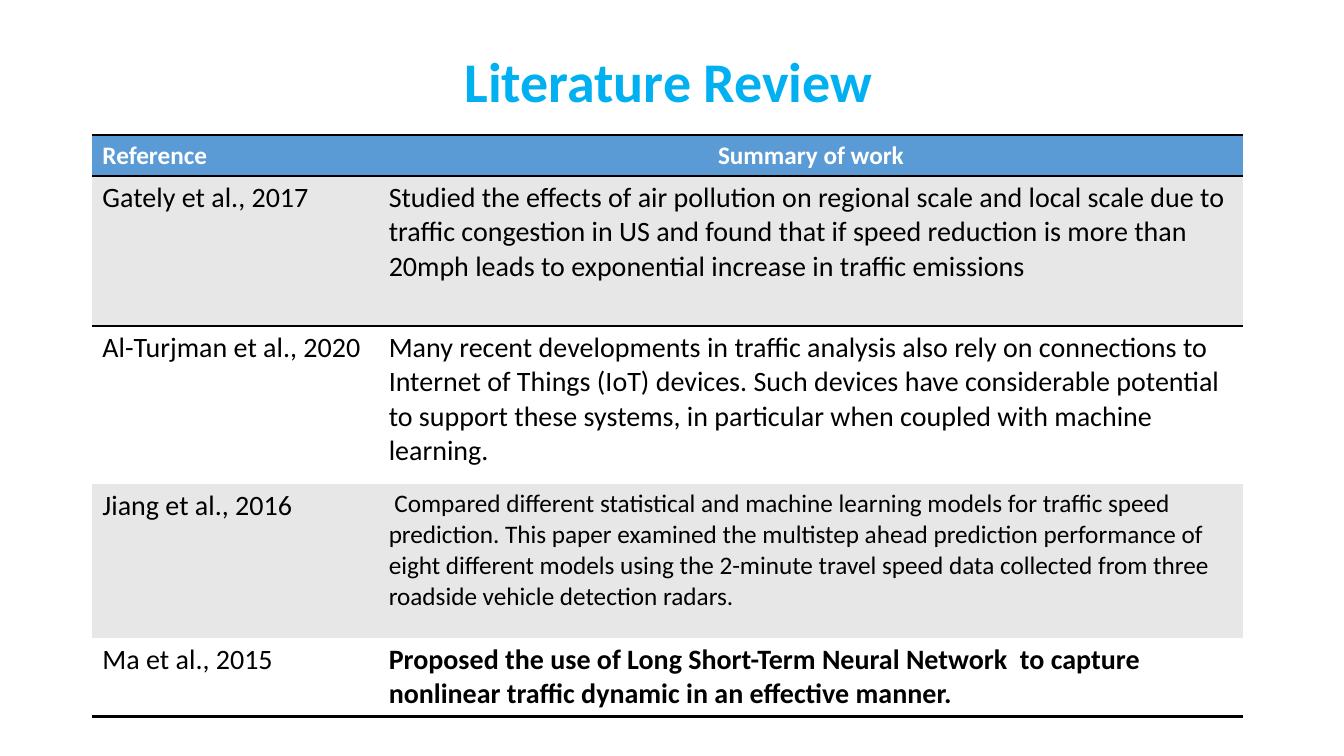
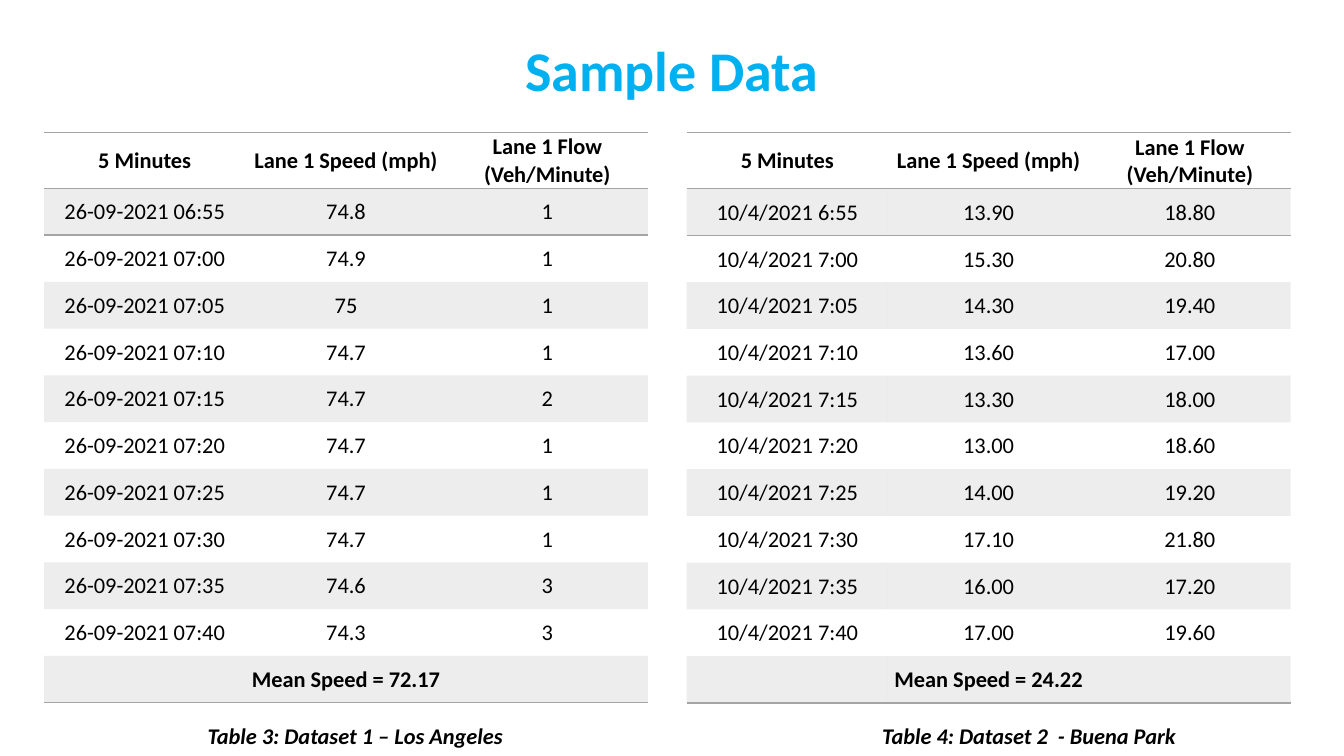
"""Build a literature review slide and a sample traffic data slide."""
from dataclasses import dataclass

from lxml.etree import SubElement
from pptx import Presentation
from pptx.dml.color import RGBColor
from pptx.enum.text import MSO_ANCHOR, PP_ALIGN
from pptx.oxml.ns import qn
from pptx.util import Pt


@dataclass(frozen=True)
class Theme:
    font: str = "Calibri"
    title_color: str = "00B0F0"
    text_color: str = "000000"
    header_text: str = "FFFFFF"
    header_fill: str = "5B9BD5"
    band_fill: str = "E7E7E7"
    plain_fill: str = "FFFFFF"
    data_gray: str = "A5A5A5"
    data_opacity: int = 20
    title_size: int = 40
    large_size: int = 20
    body_size: int = 18
    data_size: int = 16


THEME = Theme()
NO_STYLE_NO_GRID = "{2D5ABB26-0587-4C30-8999-92F81FD0307C}"

REVIEW_HEADER = ("Reference", "Summary of work")
REVIEWS = [
    ("Gately et al., 2017",
     "Studied the effects of air pollution on regional scale and local scale due to traffic "
     "congestion in US and found that if speed reduction is more than 20mph leads to "
     "exponential increase in traffic emissions", THEME.large_size, False),
    ("Al-Turjman et al., 2020",
     "Many recent developments in traffic analysis also rely on connections to Internet of "
     "Things (IoT) devices. Such devices have considerable potential to support these systems, "
     "in particular when coupled with machine learning.", THEME.large_size, False),
    ("Jiang et al., 2016",
     " Compared different statistical and machine learning models for traffic speed "
     "prediction. This paper examined the multistep ahead prediction performance of eight "
     "different models using the 2-minute travel speed data collected from three roadside "
     "vehicle detection radars.", THEME.body_size, False),
    ("Ma et al., 2015",
     "Proposed the use of Long Short-Term Neural Network  to capture nonlinear traffic "
     "dynamic in an effective manner.", THEME.large_size, True),
]
REVIEW_WIDTHS = (204.5, 617.7)
REVIEW_HEIGHTS = (29, 107, 113, 110, 56)

DATA_HEADER = ("5 Minutes", "Lane 1 Speed (mph)", "Lane 1 Flow (Veh/Minute)")
DATASETS = [
    {
        "left": 31.5, "top": 94.5, "caption_left": 122.4,
        "caption": "Table 3: Dataset 1 – Los Angeles",
        "mean": "Mean Speed = 72.17",
        "rows": [
            ("26-09-2021 06:55", "74.8", "1"),
            ("26-09-2021 07:00", "74.9", "1"),
            ("26-09-2021 07:05", "75", "1"),
            ("26-09-2021 07:10", "74.7", "1"),
            ("26-09-2021 07:15", "74.7", "2"),
            ("26-09-2021 07:20", "74.7", "1"),
            ("26-09-2021 07:25", "74.7", "1"),
            ("26-09-2021 07:30", "74.7", "1"),
            ("26-09-2021 07:35", "74.6", "3"),
            ("26-09-2021 07:40", "74.3", "3"),
        ],
    },
    {
        "left": 490.5, "top": 94.8, "caption_left": 605.5,
        "caption": "Table 4: Dataset 2  - Buena Park ",
        "mean": "Mean Speed = 24.22",
        "rows": [
            ("10/4/2021 6:55", "13.90", "18.80"),
            ("10/4/2021 7:00", "15.30", "20.80"),
            ("10/4/2021 7:05", "14.30", "19.40"),
            ("10/4/2021 7:10", "13.60", "17.00"),
            ("10/4/2021 7:15", "13.30", "18.00"),
            ("10/4/2021 7:20", "13.00", "18.60"),
            ("10/4/2021 7:25", "14.00", "19.20"),
            ("10/4/2021 7:30", "17.10", "21.80"),
            ("10/4/2021 7:35", "16.00", "17.20"),
            ("10/4/2021 7:40", "17.00", "19.60"),
        ],
    },
]
DATA_WIDTHS = (143.8,) * 3
DATA_HEADER_HEIGHT = 40
DATA_ROW_HEIGHT = 33.4


def write(text_frame, text, size, color=THEME.text_color, bold=False, italic=False, centered=False):
    paragraph = text_frame.paragraphs[0]
    paragraph.alignment = PP_ALIGN.CENTER if centered else PP_ALIGN.LEFT
    run = paragraph.add_run()
    run.text = text
    font = run.font
    font.name, font.size, font.bold, font.italic = THEME.font, Pt(size), bold, italic
    font.color.rgb = RGBColor.from_string(color)
    return paragraph


def add_text(slide, box, text, size, **style):
    shape = slide.shapes.add_textbox(*map(Pt, box))
    shape.text_frame.word_wrap = True
    return shape.text_frame, write(shape.text_frame, text, size, centered=True, bold=True, **style)


def add_title(slide, text, left, top):
    text_frame, paragraph = add_text(slide, (left, top, 828, 104.4), text,
                                     THEME.title_size, color=THEME.title_color)
    text_frame.vertical_anchor = MSO_ANCHOR.MIDDLE
    paragraph.line_spacing = 0.9


def add_plain_table(slide, left, top, widths, heights):
    frame = slide.shapes.add_table(len(heights), len(widths), Pt(left), Pt(top),
                                   Pt(sum(widths)), Pt(sum(heights)))
    for style in frame.element.iter(qn("a:tableStyleId")):
        style.text = NO_STYLE_NO_GRID
    table = frame.table
    for column, width in zip(table.columns, widths):
        column.width = Pt(width)
    for row, height in zip(table.rows, heights):
        row.height = Pt(height)
    return table


def fill_cell(cell, color, opacity=100):
    cell.fill.solid()
    cell.fill.fore_color.rgb = RGBColor.from_string(color)
    if opacity < 100:
        for rgb in cell._tc.tcPr.iter(qn("a:srgbClr")):
            SubElement(rgb, qn("a:alpha"), val=str(opacity * 1000))


def rule_table(table, color, width):
    last = len(table.rows) - 1
    for index, sides in ((0, ("a:lnT", "a:lnB")), (1, ("a:lnT",)), (last, ("a:lnB",))):
        for cell in table.rows[index].cells:
            properties = cell._tc.get_or_add_tcPr()
            for position, side in enumerate(sides):
                line = SubElement(properties, qn(side), w=str(Pt(width)))
                SubElement(SubElement(line, qn("a:solidFill")), qn("a:srgbClr"), val=color)
                properties.insert(position, line)


def build_review(slide):
    table = add_plain_table(slide, 66, 96.5, REVIEW_WIDTHS, REVIEW_HEIGHTS)
    for column, text in enumerate(REVIEW_HEADER):
        cell = table.cell(0, column)
        fill_cell(cell, THEME.header_fill)
        write(cell.text_frame, text, THEME.body_size, THEME.header_text,
              bold=True, centered=column == 1)
    for index, (reference, summary, size, bold) in enumerate(REVIEWS, 1):
        reference_cell, summary_cell = table.rows[index].cells
        write(reference_cell.text_frame, reference, THEME.large_size)
        write(summary_cell.text_frame, summary, size, bold=bold)
        for cell in (reference_cell, summary_cell):
            fill_cell(cell, THEME.band_fill if index % 2 else THEME.plain_fill)
    rule_table(table, THEME.text_color, 2)
    add_title(slide, "Literature Review", 63.4, 7.9)


def build_dataset(slide, dataset):
    rows = [DATA_HEADER, *dataset["rows"], ("", dataset["mean"], "")]
    heights = [DATA_HEADER_HEIGHT] + [DATA_ROW_HEIGHT] * (len(rows) - 1)
    table = add_plain_table(slide, dataset["left"], dataset["top"], DATA_WIDTHS, heights)
    for index, values in enumerate(rows):
        for cell, value in zip(table.rows[index].cells, values):
            cell.vertical_anchor = MSO_ANCHOR.MIDDLE
            cell.margin_left = cell.margin_right = cell.margin_top = Pt(0.75)
            cell.margin_bottom = Pt(0)
            if index % 2:
                fill_cell(cell, THEME.data_gray, THEME.data_opacity)
            if value:
                write(cell.text_frame, value, THEME.data_size,
                      bold=index in (0, len(rows) - 1), centered=True)
    rule_table(table, THEME.data_gray, 1)
    add_text(slide, (dataset["caption_left"], 512, 262.8, 26.6), dataset["caption"],
             THEME.data_size, italic=True)


def main():
    presentation = Presentation()
    presentation.slide_width, presentation.slide_height = Pt(960), Pt(540)
    blank = presentation.slide_layouts[6]
    build_review(presentation.slides.add_slide(blank))
    data_slide = presentation.slides.add_slide(blank)
    add_title(data_slide, "Sample Data", 66, 0)
    for dataset in DATASETS:
        build_dataset(data_slide, dataset)
    presentation.save("out.pptx")


if __name__ == "__main__":
    main()
